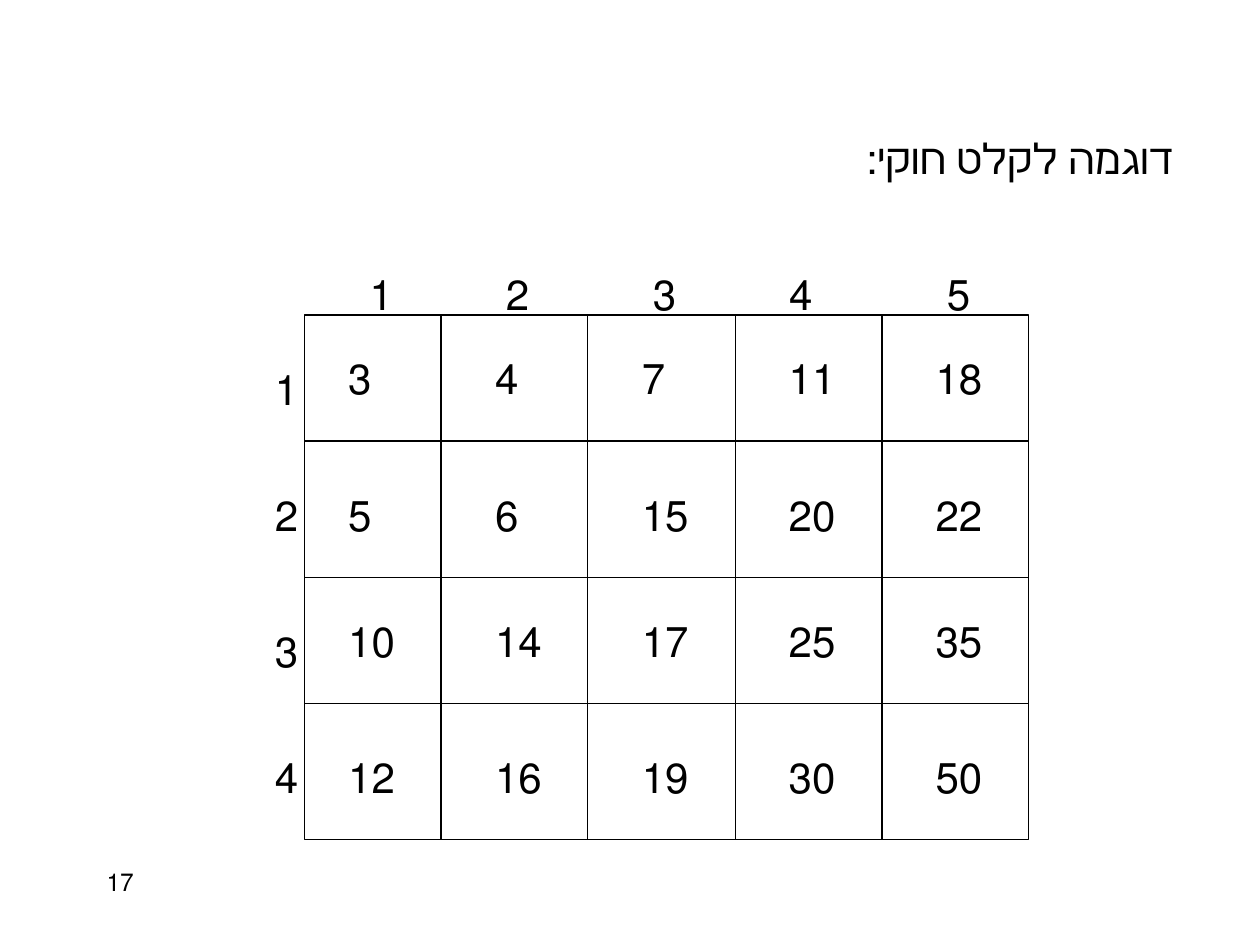
from pptx import Presentation
from pptx.dml.color import RGBColor
from pptx.enum.shapes import MSO_CONNECTOR, MSO_SHAPE
from pptx.enum.text import MSO_AUTO_SIZE, PP_ALIGN
from pptx.util import Cm, Pt
from lxml import etree

STRAIGHT = MSO_CONNECTOR.STRAIGHT
RECTANGLE = MSO_SHAPE.RECTANGLE
GROW, FIXED = MSO_AUTO_SIZE.SHAPE_TO_FIT_TEXT, MSO_AUTO_SIZE.NONE
LEFT, RIGHT = PP_ALIGN.LEFT, PP_ALIGN.RIGHT

TITLE = "דוגמה לקלט חוקי:"
SLIDE_NUMBER = "17"
MATRIX = [
    [3, 4, 7, 11, 18],
    [5, 6, 15, 20, 22],
    [10, 14, 17, 25, 35],
    [12, 16, 19, 30, 50],
]

COLORS = {"ink": "000000", "paper": "FFFFFF"}
FONT = "Times New Roman"
LINE_WIDTH = Pt(0.75)
TEXT_HEIGHT = 1.27

COLUMN_EDGES = [6.14, 8.89, 11.85, 14.82, 17.78, 20.74]
ROW_EDGES = [6.35, 8.89, 11.64, 14.18, 16.93]
COLUMN_LABEL_X = [7.2, 9.95, 12.91, 15.66, 18.84]
ROW_LABEL_Y = [7.2, 9.74, 12.49, 15.03]
LABEL_OFFSET, LABEL_WIDTH = 5.29, 1.27
VALUE_X, VALUE_STEP, VALUE_WIDTH = 6.77, 2.96, 1.69
VALUE_Y = [6.99, 9.74, 12.28, 15.03]


def color(name):
    return RGBColor.from_string(COLORS[name])


def add_text(shapes, text, x, y, width, size=24, align=LEFT, fit=GROW):
    box = shapes.add_textbox(Cm(x), Cm(y), Cm(width), Cm(TEXT_HEIGHT))
    tf = box.text_frame
    tf.word_wrap = True
    tf.auto_size = fit
    p = tf.paragraphs[0]
    p.text = str(text)
    p.alignment = align
    p._p.get_or_add_pPr().set("rtl", "1")
    font = p.runs[0].font
    font.name = FONT
    font.size = Pt(size)
    font.color.rgb = color("ink")


def add_line(shapes, x1, y1, x2, y2):
    line = shapes.add_connector(STRAIGHT, Cm(x1), Cm(y1), Cm(x2), Cm(y2))
    line.line.color.rgb = color("ink")
    line.line.width = LINE_WIDTH
    sp_pr = line._element.spPr
    etree.SubElement(sp_pr, sp_pr.tag.replace("spPr", "effectLst").replace(
        "presentationml", "drawingml").replace("/2006/main}", "/2006/main}"))


def add_grid(shapes):
    left, right = COLUMN_EDGES[0], COLUMN_EDGES[-1]
    top, bottom = ROW_EDGES[0], ROW_EDGES[-1]
    frame = shapes.add_shape(
        RECTANGLE, Cm(left), Cm(top), Cm(right - left), Cm(bottom - top))
    frame.shadow.inherit = False
    frame.fill.solid()
    frame.fill.fore_color.rgb = color("paper")
    frame.line.color.rgb = color("ink")
    frame.line.width = LINE_WIDTH
    for y in ROW_EDGES[1:-1]:
        add_line(shapes, left, y, right, y)
    for x in COLUMN_EDGES[1:-1]:
        add_line(shapes, x, top, x, bottom)


def main():
    prs = Presentation()
    prs.slide_width, prs.slide_height = Cm(25.4), Cm(19.05)
    s = prs.slides.add_slide(prs.slide_layouts[6])

    grid = s.shapes.add_group_shape().shapes
    add_grid(grid)
    for number, x in enumerate(COLUMN_LABEL_X, 1):
        add_text(grid, number, x, LABEL_OFFSET, LABEL_WIDTH)
    for number, y in enumerate(ROW_LABEL_Y, 1):
        add_text(grid, number, LABEL_OFFSET, y, LABEL_WIDTH)
    for y, row in zip(VALUE_Y, MATRIX):
        for column, value in enumerate(row):
            add_text(grid, value, VALUE_X + column * VALUE_STEP, y, VALUE_WIDTH)

    add_text(s.shapes, TITLE, 0.42, 2.54, 23.5, align=RIGHT)
    add_text(s.shapes, SLIDE_NUMBER, 1.9, 17.36, 5.29, size=14, fit=FIXED)
    prs.save("out.pptx")


if __name__ == "__main__":
    main()
